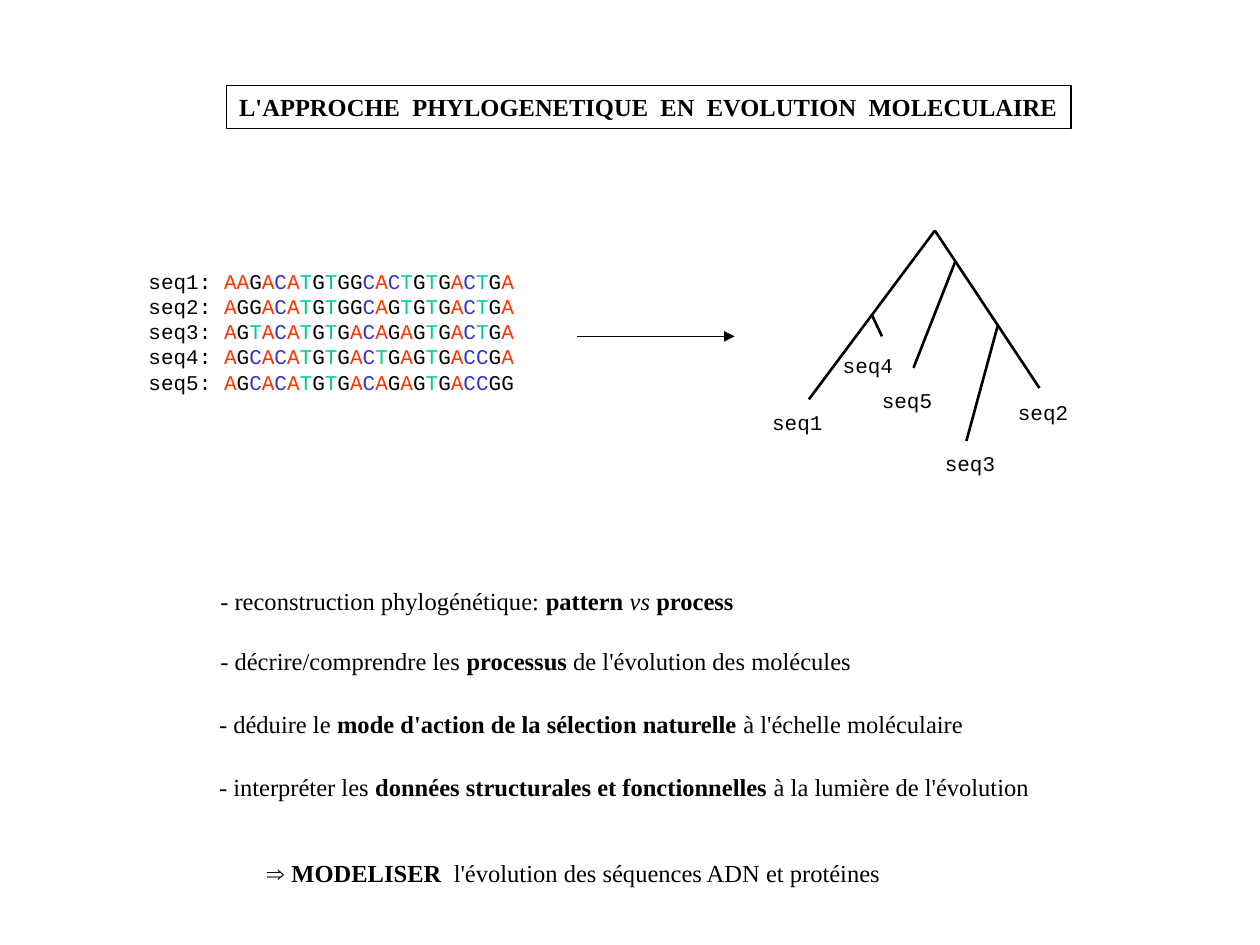
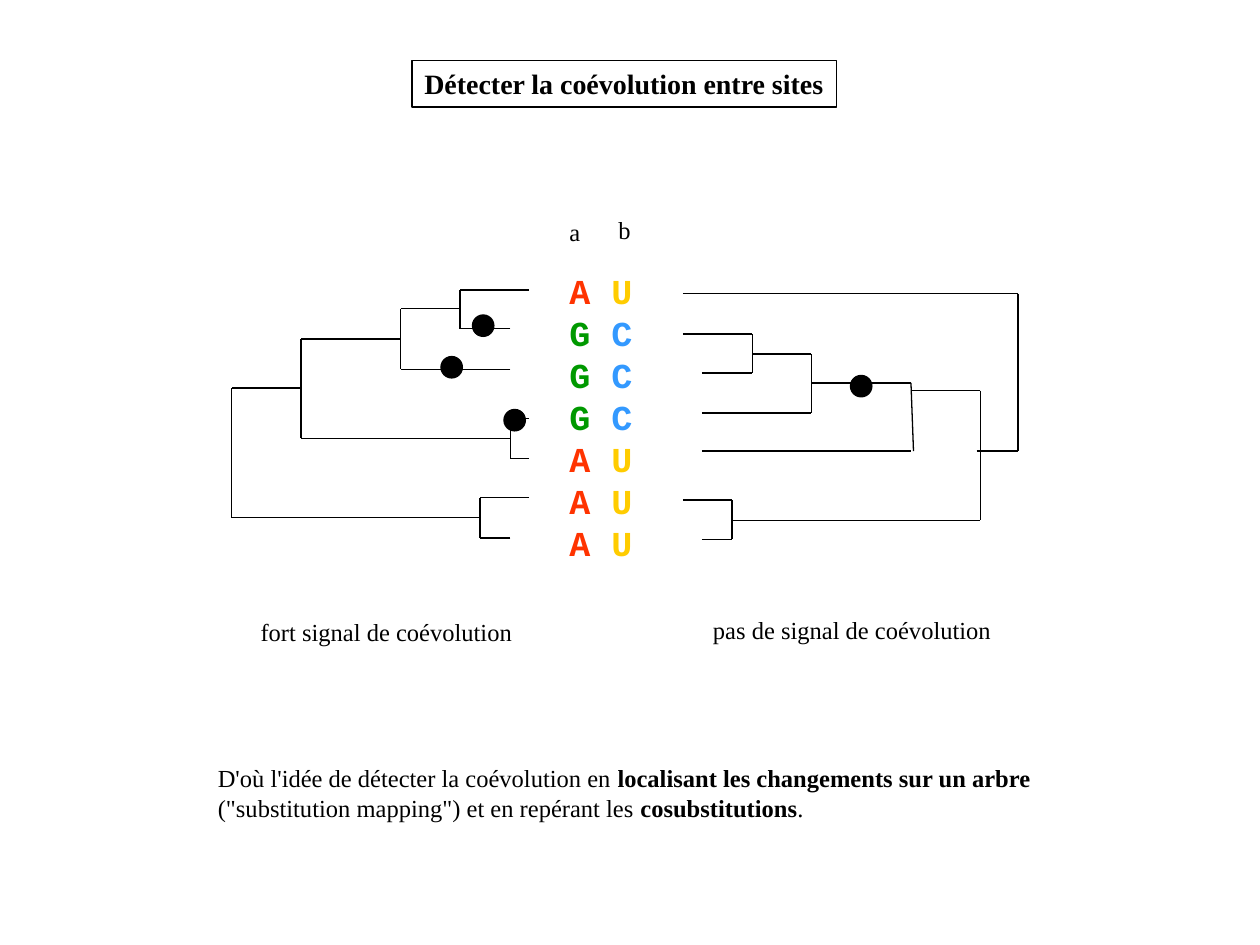
from itertools import groupby

from lxml import etree
from pptx import Presentation
from pptx.dml.color import RGBColor
from pptx.enum.shapes import MSO_CONNECTOR, MSO_SHAPE
from pptx.enum.text import MSO_ANCHOR, MSO_AUTO_SIZE, PP_ALIGN
from pptx.oxml.ns import qn
from pptx.util import Emu, Pt

PX = 9144  # 100 px to the inch
STRAIGHT = MSO_CONNECTOR.STRAIGHT
RECT, OVAL = MSO_SHAPE.RECTANGLE, MSO_SHAPE.OVAL
LEFT, TOP, GROW = PP_ALIGN.LEFT, MSO_ANCHOR.TOP, MSO_AUTO_SIZE.SHAPE_TO_FIT_TEXT

BLACK = "000000"
BODY = {"name": "Times New Roman", "size": Pt(14), "bold": False, "italic": False}
CODE = BODY | {"name": "Courier New", "size": Pt(12)}
SITE = CODE | {"size": Pt(20), "bold": True}
BOLD, ITALIC, ARIAL = {"bold": True}, {"italic": True}, {"name": "Arial"}
THIN, MID, THICK = 0.75, 1, 1.5

BASES = {"A": "FF3300", "C": "3333CC", "G": BLACK, "T": "00CC99"}
PAIRS = {"A": "FF3300", "U": "FFCC00", "G": "009900", "C": "3399FF"}


def px(*nums):
    return [Emu(num * PX) for num in nums]


def tint(code):
    return RGBColor.from_string(code)


def dye(text, hues):
    """Split a sequence into runs of one letter, each in its own colour."""
    return [("".join(part), {"hue": hues[base]}) for base, part in groupby(text)]


class Deck:
    def __init__(self, wide, high):
        self.file = Presentation()
        self.file.slide_width, self.file.slide_height = px(wide, high)

    def page(self):
        self.slide = self.file.slides.add_slide(self.file.slide_layouts[6])
        self.host = self.slide.shapes

    def group(self):
        """Send the next elements to a new group."""
        self.host = self.slide.shapes.add_group_shape().shapes

    def free(self):
        """Send the next elements straight to the slide."""
        self.host = self.slide.shapes

    def fill(self, frame, rows, style, wrap=False):
        sets = {"word_wrap": wrap, "auto_size": GROW, "vertical_anchor": TOP}
        for key, val in sets.items():
            setattr(frame, key, val)
        for num, row in enumerate(rows):
            para = frame.add_paragraph() if num else frame.paragraphs[0]
            para.alignment = LEFT
            for text, extra in row:
                run = para.add_run()
                run.text = text
                look = style | extra
                run.font.color.rgb = tint(look.pop("hue", BLACK))
                for key, val in look.items():
                    setattr(run.font, key, val)

    def text(self, box, rows, style=BODY, wrap=False):
        self.fill(self.host.add_textbox(*px(*box)).text_frame, rows, style, wrap)

    def label(self, box, text, style=BODY):
        self.text(box, [[(text, {})]], style)

    def shape(self, kind, box):
        item = self.host.add_shape(kind, *px(*box))
        item.shadow.inherit = False
        item.line.color.rgb = tint(BLACK)
        item.line.width = Pt(THIN)
        return item

    def title(self, box, text, size):
        item = self.shape(RECT, box)
        item.fill.background()
        self.fill(item.text_frame, [[(text, BOLD)]], BODY | {"size": Pt(size)})

    def dot(self, left, top):
        item = self.shape(OVAL, (left, top, 17, 17))
        item.fill.solid()
        item.fill.fore_color.rgb = tint(BLACK)

    def line(self, start, end, width=THIN, arrow=False):
        item = self.host.add_connector(STRAIGHT, *px(*start, *end))
        item.line.color.rgb = tint(BLACK)
        item.line.width = Pt(width)
        if arrow:
            etree.SubElement(item.line._get_or_add_ln(), qn("a:tailEnd"), type="triangle")
        etree.SubElement(item._element.spPr, qn("a:effectLst"))

    def fork(self, node, high, low, foot=None):
        """Join two branches, each (x, y, width), by an upright at x = node."""
        for x, y, width in (high, low):
            self.line((x, y), (node, y), width)
        self.line((node, high[1]), (foot or node, low[1]))


def approach(deck):
    deck.page()
    deck.title((180, 68, 670, 34),
               "L'APPROCHE  PHYLOGENETIQUE  EN  EVOLUTION  MOLECULAIRE", 14)

    reads = ["AAGACATGTGGCACTGTGACTGA", "AGGACATGTGGCAGTGTGACTGA",
             "AGTACATGTGACAGAGTGACTGA", "AGCACATGTGACTGAGTGACCGA",
             "AGCACATGTGACAGAGTGACCGG"]
    rows = [[(f"seq{num}: ", {})] + dye(read, BASES)
            for num, read in enumerate(reads, 1)]
    deck.text((108, 208, 358, 110), rows, CODE, wrap=True)
    deck.line((458, 267), (583, 267), arrow=True)

    for start, end in [((642, 317), (742, 183)), ((742, 183), (825, 308)),
                       ((758, 208), (725, 292)), ((692, 250), (700, 267)),
                       ((792, 258), (767, 350))]:
        deck.line(start, end, THICK)
    for num, left, top in [(1, 603, 320), (4, 659, 275), (5, 690, 303),
                           (3, 740, 353), (2, 798, 312)]:
        deck.label((left, top, 60, 30), f"seq{num}", CODE)

    goals = [
        (165, 460, 428, [("- reconstruction phylogénétique: ", {}), ("pattern ", BOLD),
                         ("vs ", ITALIC), ("process", BOLD)]),
        (165, 508, 521, [("- décrire/comprendre les ", {}), ("processus", BOLD),
                         (" de l'évolution des molécules", {})]),
        (164, 558, 611, [("- déduire le ", {}),
                         ("mode d'action de la sélection naturelle", BOLD),
                         (" à l'échelle moléculaire", {})]),
        (164, 608, 663, [("- interpréter les ", {}),
                         ("données structurales et fonctionnelles", BOLD),
                         (" à la lumière de l'évolution", {})]),
        (202, 676, 509, [("⇒ ", ARIAL), ("MODELISER", BOLD),
                         ("  l'évolution des séquences ADN et protéines", {})]),
    ]
    for left, top, wide, runs in goals:
        deck.text((left, top, wide, 34), [runs])


def signal(deck):
    deck.page()
    sites = [[(f"{one} ", {"hue": PAIRS[one]}), (two, {"hue": PAIRS[two]})]
             for one, two in ("AU", "GC", "GC", "GC", "AU", "AU", "AU")]
    deck.text((442, 209, 70, 244), sites, SITE)
    deck.title((327, 48, 337, 37), "Détecter la coévolution entre sites", 16)
    deck.label((442, 167, 28, 34), "a")
    deck.label((481, 166, 30, 34), "b")

    deck.group()
    deck.fork(365, (420, 230, MID), (405, 261, THIN))
    deck.fork(318, (365, 245, THIN), (405, 293, THIN))
    deck.fork(405, (420, 332, THIN), (420, 364, THIN))
    deck.fork(239, (318, 269, THIN), (405, 348, THIN))
    deck.fork(381, (420, 395, THIN), (405, 427, THIN))
    deck.fork(184, (239, 308, THIN), (381, 411, THIN))
    for left, top in [(375, 250), (350, 283), (400, 325)]:
        deck.dot(left, top)
    deck.label((197, 485, 220, 34), "fort signal de coévolution")

    deck.group()
    deck.fork(597, (542, 265, MID), (557, 296, MID))
    deck.fork(644, (597, 281, THIN), (557, 328, MID))
    deck.fork(723, (644, 304, THIN), (557, 358, THIN), foot=725)
    deck.fork(581, (542, 397, MID), (557, 428, THIN))
    deck.fork(778, (723, 310, THIN), (581, 413, THIN))
    deck.fork(808, (542, 233, THIN), (775, 358, THIN))
    deck.dot(675, 298)
    deck.label((556, 483, 241, 34), "pas de signal de coévolution")

    deck.free()
    deck.text((163, 601, 671, 57), [
        [("D'où l'idée de détecter la coévolution en ", {}),
         ("localisant les changements sur un arbre", BOLD)],
        [('("substitution mapping") et en repérant les ', {}),
         ("cosubstitutions", BOLD), (".", {})],
    ], wrap=True)


def main():
    deck = Deck(1000, 750)
    approach(deck)
    signal(deck)
    deck.file.save("out.pptx")


if __name__ == "__main__":
    main()
